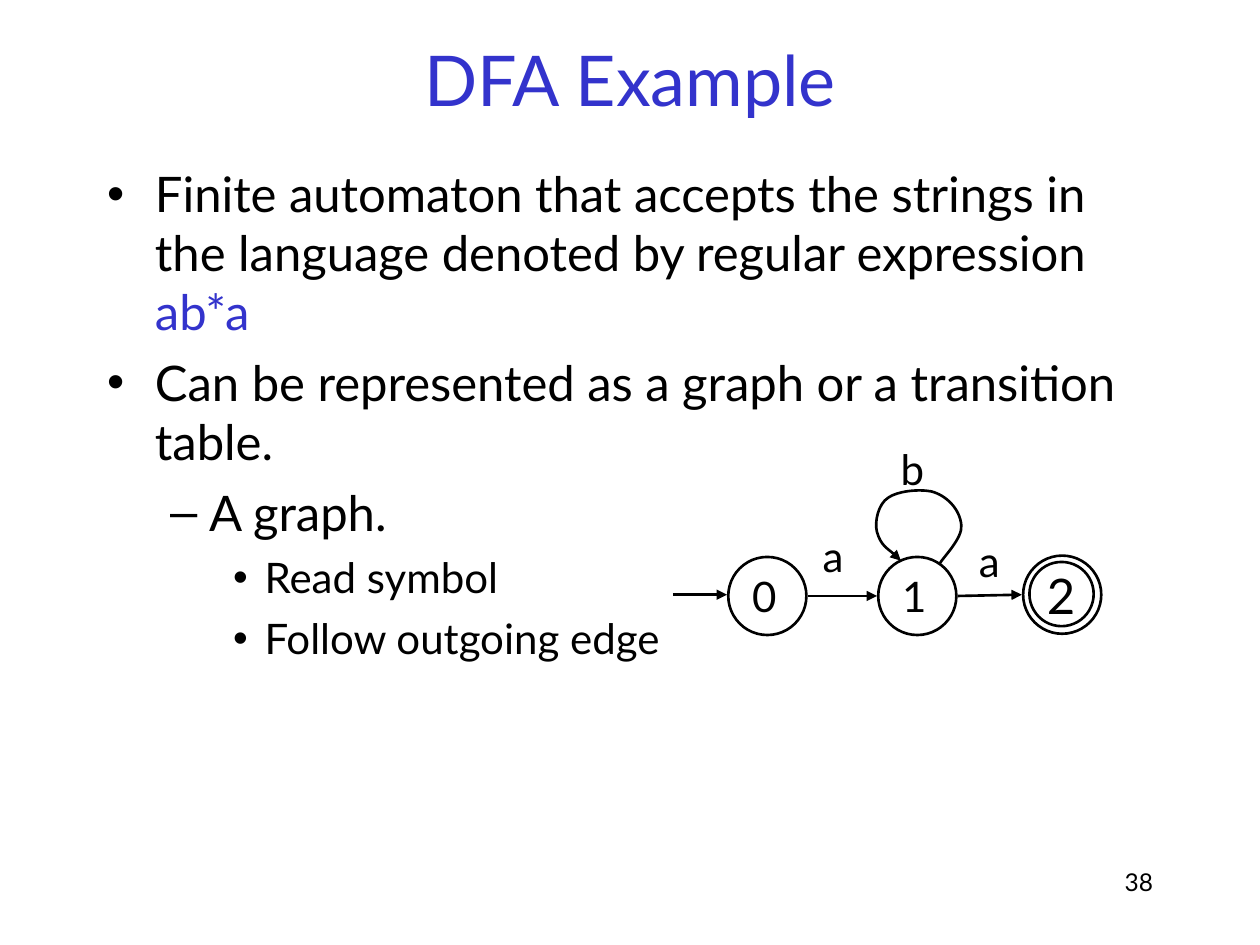
"""Build the DFA example slide with its bullets and state graph."""
from lxml import etree
from pptx import Presentation
from pptx.dml.color import RGBColor
from pptx.enum.shapes import MSO_CONNECTOR, MSO_SHAPE
from pptx.enum.text import MSO_ANCHOR, MSO_AUTO_SIZE, PP_ALIGN
from pptx.oxml.ns import qn
from pptx.util import Inches, Pt

OVAL = MSO_SHAPE.OVAL
STRAIGHT = MSO_CONNECTOR.STRAIGHT
TOP, MIDDLE = MSO_ANCHOR.TOP, MSO_ANCHOR.MIDDLE
LEFT, CENTER, RIGHT = PP_ALIGN.LEFT, PP_ALIGN.CENTER, PP_ALIGN.RIGHT
NO_AUTOFIT = MSO_AUTO_SIZE.NONE
COLORS = {"ink": "000000", "accent": "3333CC"}


def add_run(paragraph, text, size, color="ink"):
    run = paragraph.add_run()
    run.text = text
    for key, value in {"name": "Lato", "size": Pt(size)}.items():
        setattr(run.font, key, value)
    run.font.color.rgb = RGBColor.from_string(COLORS[color])


def style_line(outline, arrow=False):
    outline.line.color.rgb = RGBColor.from_string(COLORS["ink"])
    outline.line.width = Pt(1.5)
    if arrow:
        line_xml = outline.line._get_or_add_ln()
        etree.SubElement(line_xml, qn("a:tailEnd"), type="triangle")


presentation = Presentation()
presentation.slide_width = Inches(10)
presentation.slide_height = Inches(7.5)
slide = presentation.slides.add_slide(presentation.slide_layouts[1])
shapes = slide.shapes
title, body = shapes.title, slide.placeholders[1]

for holder, top, height, anchor in ((title, 0, 1.25, MIDDLE), (body, 1.25, 5.42, TOP)):
    place = {"left": 0.75, "top": top, "width": 8.5, "height": height}
    for key, value in place.items():
        setattr(holder, key, Inches(value))
    frame_format = {"auto_size": NO_AUTOFIT, "vertical_anchor": anchor, "word_wrap": True}
    for key, value in frame_format.items():
        setattr(holder.text_frame, key, value)

heading = title.text_frame.paragraphs[0]
heading.alignment = CENTER
add_run(heading, "DFA Example", 40, "accent")

LEVELS = [
    {"margin": 0.38, "hang": 0.38, "bullet": "•", "size": 28, "before": 7},
    {"margin": 0.81, "hang": 0.31, "bullet": "–", "size": 28, "before": 7},
    {"margin": 1.25, "hang": 0.25, "bullet": "•", "size": 24, "before": 6},
]
points = [
    (0, [("Finite automaton that accepts the strings in the language "
          "denoted by regular expression ", "ink"), ("ab*a", "accent")]),
    (0, [("Can be represented as a graph or a transition table.", "ink")]),
    (1, [("A graph.", "ink")]),
    (2, [("Read symbol", "ink")]),
    (2, [("Follow outgoing edge", "ink")]),
]
for index, (level, pieces) in enumerate(points):
    style = LEVELS[level]
    point = body.text_frame.add_paragraph() if index else body.text_frame.paragraphs[0]
    point.level = level
    properties = point._p.get_or_add_pPr()
    properties.set("marL", str(Inches(style["margin"])))
    properties.set("indent", str(-Inches(style["hang"])))
    bullet_color = etree.SubElement(properties, qn("a:buClr"))
    etree.SubElement(bullet_color, qn("a:srgbClr"), val=COLORS["ink"])
    etree.SubElement(properties, qn("a:buChar"), char=style["bullet"])
    point.space_before = Pt(style["before"] if index else 0)
    for text, color in pieces:
        add_run(point, text, style["size"], color)

states = [
    (5.78, 4.42, 0.62, "0", 24),
    (6.97, 4.42, 0.62, "1", 24),
    (8.12, 4.41, 0.62, "2", 28),
    (8.17, 4.46, 0.51, "", 24),
]
for left, top, diameter, name, size in states:
    state = shapes.add_shape(OVAL, Inches(left), Inches(top), Inches(diameter), Inches(diameter))
    state.shadow.inherit = False
    state.fill.background()
    style_line(state)
    if name:
        state.text_frame.word_wrap = False
        state.text_frame.vertical_anchor = MIDDLE
        label = state.text_frame.paragraphs[0]
        label.alignment = LEFT
        add_run(label, name, size)

transitions = [
    (5.34, 4.72, 5.77, 4.72),
    (6.41, 4.73, 6.96, 4.73),
    (7.6, 4.73, 8.11, 4.72),
]
for ends in transitions:
    transition = shapes.add_connector(STRAIGHT, *map(Inches, ends))
    etree.SubElement(transition._element.spPr, qn("a:effectLst"))
    style_line(transition, arrow=True)

loop_start = (7.46, 4.47)
loop_curves = [
    [(7.49, 4.42), (7.64, 4.27), (7.63, 4.17)],
    [(7.62, 4.04), (7.51, 3.93), (7.39, 3.9)],
    [(7.28, 3.88), (7.12, 3.9), (7.05, 3.95)],
    [(6.97, 4), (6.94, 4.14), (6.96, 4.22)],
    [(6.99, 4.33), (7.11, 4.4), (7.15, 4.45)],
]
builder = shapes.build_freeform(*map(Inches, loop_start))
builder.add_line_segments(
    [(Inches(x), Inches(y)) for curve in loop_curves for x, y in curve], close=False)
self_loop = builder.convert_to_shape()
self_loop.shadow.inherit = False
self_loop.fill.background()
style_line(self_loop, arrow=True)
loop_path = next(self_loop._element.iter(qn("a:path")))
segments = loop_path.findall(qn("a:lnTo"))
for first in range(0, len(segments), 3):
    curve_xml = etree.SubElement(loop_path, qn("a:cubicBezTo"))
    for segment in segments[first:first + 3]:
        curve_xml.append(segment[0])
        loop_path.remove(segment)

captions = [
    (6.43, 4.16, 0.38, "a", 24, LEFT, False),
    (7.05, 3.47, 0.4, "b", 24, LEFT, False),
    (7.67, 4.2, 0.38, "a", 24, LEFT, False),
    (7.17, 6.83, 2.08, "38", 14, RIGHT, True),
]
for left, top, width, text, size, alignment, wrap in captions:
    caption = shapes.add_textbox(Inches(left), Inches(top), Inches(width), Inches(0.5))
    caption.text_frame.word_wrap = wrap
    line = caption.text_frame.paragraphs[0]
    line.alignment = alignment
    add_run(line, text, size)

presentation.save("out.pptx")
